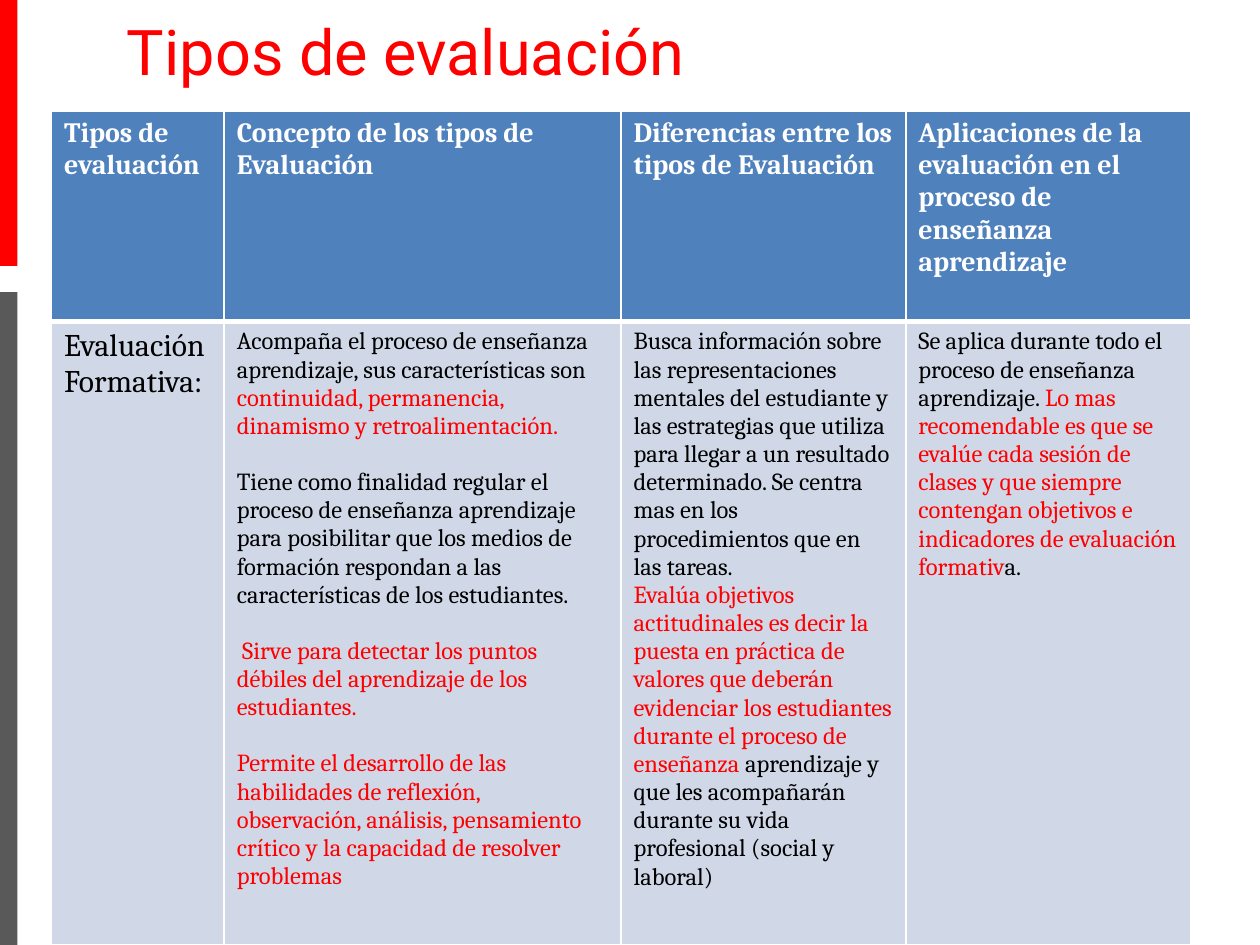
from dataclasses import dataclass
from lxml.etree import SubElement
from pptx import Presentation
from pptx.dml.color import RGBColor
from pptx.enum.shapes import MSO_SHAPE
from pptx.enum.text import MSO_ANCHOR
from pptx.oxml.ns import qn
from pptx.util import Cm, Pt


@dataclass(frozen=True)
class Theme:
    red: str = "FF0000"
    gray: str = "595959"
    blue: str = "4F81BD"
    pale: str = "D0D8E8"
    white: str = "FFFFFF"
    black: str = "000000"
    sans: str = "Roboto"
    serif: str = "Cambria"
    title: int = 36
    head: int = 16
    label: int = 18
    body: int = 14
    gap: int = 16


T = Theme()
B, R = T.black, T.red

HEADS = [
    "Tipos de evaluación",
    "Concepto de los tipos de Evaluación",
    "Diferencias entre los tipos de Evaluación",
    "Aplicaciones de la evaluación en el proceso de enseñanza aprendizaje",
]

# Each cell is a list of paragraphs; each paragraph a list of (text, colour)
LABEL = [[("Evaluación Formativa:", B)]]
IDEA = [
    [("Acompaña el proceso de enseñanza aprendizaje, sus características son ", B),
     ("continuidad, permanencia, dinamismo y retroalimentación.", R)],
    [("Tiene como finalidad regular el proceso de enseñanza aprendizaje para "
      "posibilitar que los medios de formación respondan a las "
      "características de los estudiantes.", B)],
    [(" Sirve para detectar los puntos débiles del aprendizaje de los "
      "estudiantes.", R)],
    [("Permite el desarrollo de las habilidades de reflexión, observación, "
      "análisis, pensamiento crítico y la capacidad de resolver problemas", R)],
]
DIFFS = [
    [("Busca información sobre las representaciones mentales del estudiante y "
      "las estrategias que utiliza para llegar a un resultado determinado. "
      "Se centra mas en los procedimientos que en las tareas.", B)],
    [("Evalúa objetivos actitudinales es decir la puesta en práctica de "
      "valores que deberán evidenciar los estudiantes durante el proceso de "
      "enseñanza ", R),
     ("aprendizaje y que les acompañarán durante su vida profesional "
      "(social y laboral)", B)],
]
USES = [
    [("Se aplica durante todo el proceso de enseñanza aprendizaje. ", B),
     ("Lo mas recomendable es que se evalúe cada sesión de clases y que "
      "siempre contengan objetivos e indicadores de evaluación formativ", R),
     ("a.", B)],
]


def style(obj, form):
    for key, val in form.items():
        setattr(obj, key, val)


def paint(fill, tint):
    fill.solid()
    fill.fore_color.rgb = RGBColor.from_string(tint)


def write(frame, paras, form, gap=0):
    for i, runs in enumerate(paras):
        para = frame.paragraphs[0] if i == 0 else frame.add_paragraph()
        if i and gap:
            para.space_before = Pt(gap)
        for text, tint in runs:
            run = para.add_run()
            run.text = text
            style(run.font, form)
            run.font.color.rgb = RGBColor.from_string(tint)


def add_bar(slide, top, high, tint):
    bar = slide.shapes.add_shape(MSO_SHAPE.RECTANGLE, 0, Cm(top), Cm(0.35), Cm(high))
    bar.shadow.inherit = False
    paint(bar.fill, tint)
    bar.line.fill.background()


def add_title(slide, text):
    box = slide.shapes.add_textbox(Cm(2.31), Cm(0.13), Cm(21.34), Cm(1.52))
    style(box.text_frame, {"word_wrap": True, "vertical_anchor": MSO_ANCHOR.TOP})
    form = {"name": T.sans, "size": Pt(T.title)}
    write(box.text_frame, [[(text, R)]], form)


def edge(cell, low):
    props = cell._tc.get_or_add_tcPr()
    sides = {"lnL": 1, "lnR": 1, "lnT": 1, "lnB": low}
    for side, wide in sides.items():
        line = SubElement(props, qn("a:" + side), w=str(Pt(wide)))
        fill = SubElement(line, qn("a:solidFill"))
        SubElement(fill, qn("a:srgbClr"), val=T.white)


def fill_cell(cell, paras, form, tint, low=1, gap=0):
    edge(cell, low)  # borders come before the fill
    paint(cell.fill, tint)
    write(cell.text_frame, paras, {"name": T.serif, **form}, gap)


def add_grid(slide):
    wides, highs = [3.48, 8, 5.74, 5.74], [4.24, 12.57]
    grid = slide.shapes.add_table(
        2, 4, Cm(1.04), Cm(2.24), Cm(sum(wides)), Cm(sum(highs))).table
    for col, wide in zip(grid.columns, wides):
        col.width = Cm(wide)
    for row, high in zip(grid.rows, highs):
        row.height = Cm(high)

    # Header row
    form = {"size": Pt(T.head), "bold": True}
    for i, text in enumerate(HEADS):
        fill_cell(grid.cell(0, i), [[(text, T.white)]], form, T.blue, low=3)

    # Body row
    body = [(LABEL, T.label, 0), (IDEA, T.body, T.gap),
            (DIFFS, T.body, 0), (USES, T.body, 0)]
    for i, (paras, size, gap) in enumerate(body):
        form = {"size": Pt(size), "bold": False}
        fill_cell(grid.cell(1, i), paras, form, T.pale, gap=gap)


def main():
    deck = Presentation()
    style(deck, {"slide_width": Cm(25.4), "slide_height": Cm(19.05)})
    slide = deck.slides.add_slide(deck.slide_layouts[6])
    paint(slide.background.fill, T.white)

    # Side bars
    add_bar(slide, 0, 5.36, T.red)
    add_bar(slide, 5.89, 13.16, T.gray)

    add_title(slide, "Tipos de evaluación")
    add_grid(slide)
    deck.save("out.pptx")


if __name__ == "__main__":
    main()
